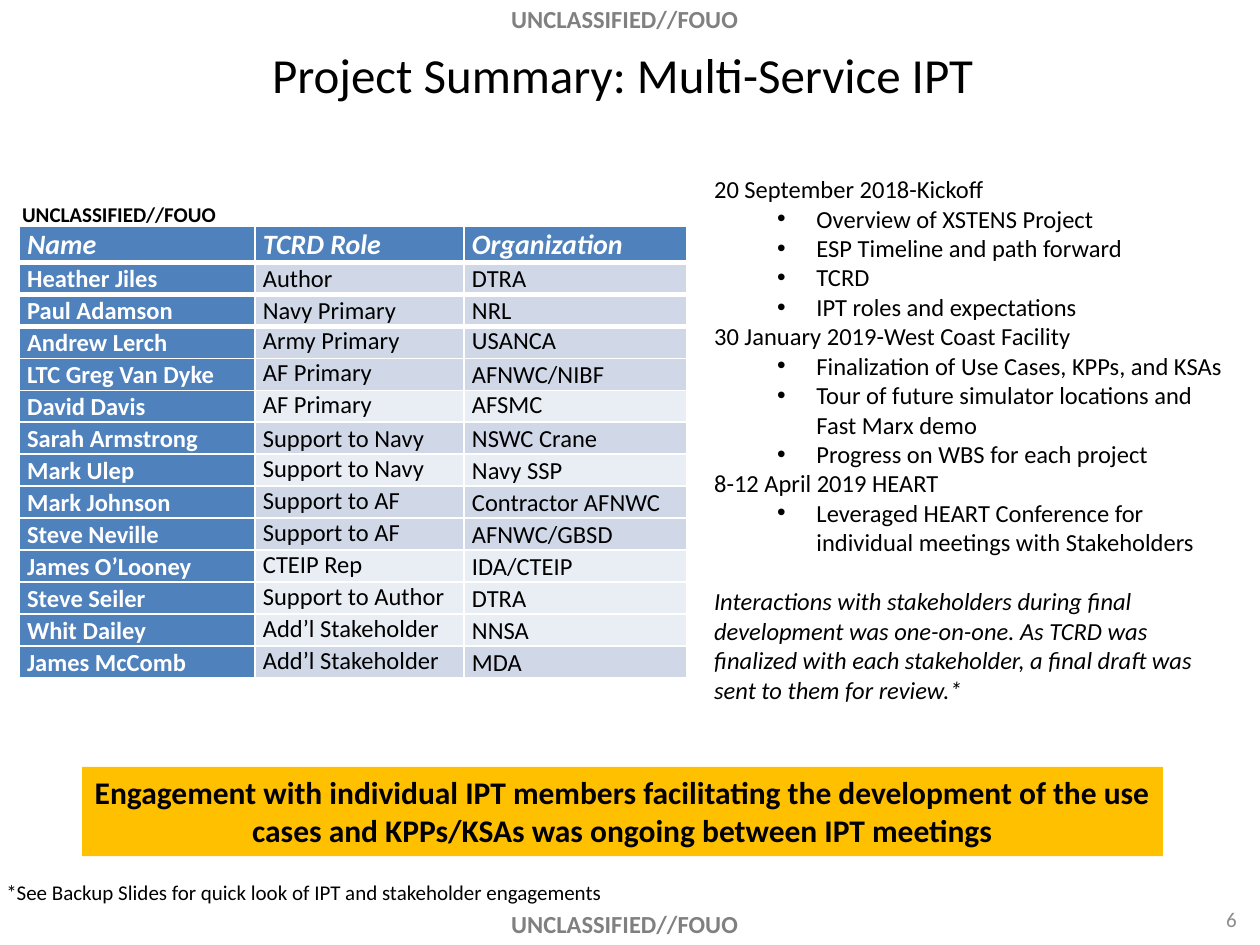
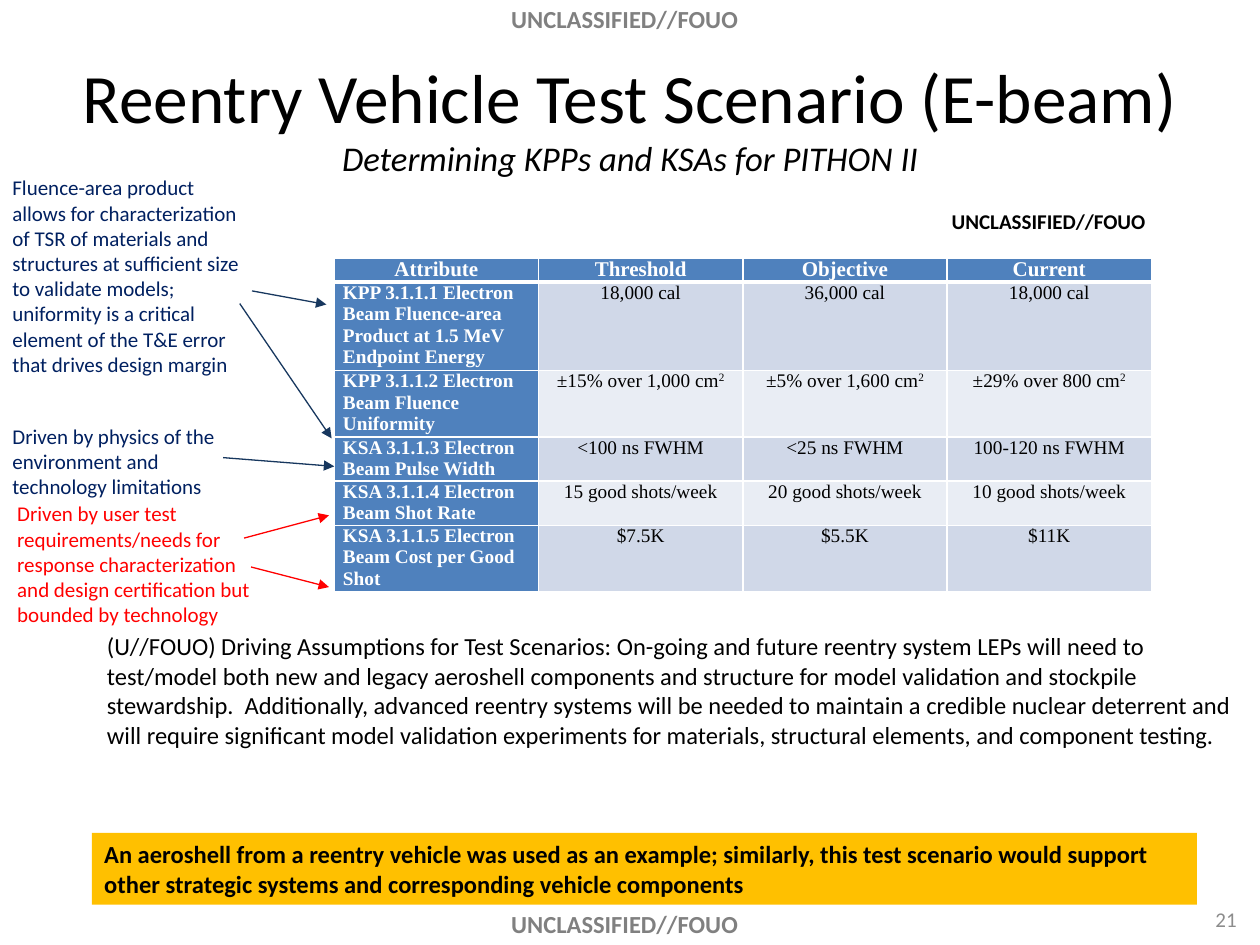
from lxml import etree
from pptx import Presentation
from pptx.dml.color import RGBColor
from pptx.enum.shapes import MSO_CONNECTOR, MSO_SHAPE
from pptx.enum.text import MSO_ANCHOR, MSO_AUTO_SIZE, PP_ALIGN
from pptx.oxml.ns import qn
from pptx.util import Pt

LEFT, CENTER, RIGHT = PP_ALIGN.LEFT, PP_ALIGN.CENTER, PP_ALIGN.RIGHT
TOP, MIDDLE = MSO_ANCHOR.TOP, MSO_ANCHOR.MIDDLE
RECTANGLE = MSO_SHAPE.RECTANGLE
STRAIGHT = MSO_CONNECTOR.STRAIGHT
NO_AUTOSIZE = MSO_AUTO_SIZE.NONE

WHITE, BLACK, GRAY, PALE_GRAY = "FFFFFF", "000000", "808080", "8C8C8C"
BLUE, ROW_DARK, ROW_LIGHT = "4F81BD", "D0D8E8", "E9EDF4"
GOLD, NAVY, ARROW_BLUE, RED = "FFC000", "002060", "17375E", "FF0000"

MARKING = "UNCLASSIFIED//FOUO"
TITLE_ONLY = 5

TEAM = [
    ("Name", "TCRD Role", "Organization"),
    ("Heather Jiles", "Author", "DTRA"),
    ("Paul Adamson", "Navy Primary", "NRL"),
    ("Andrew Lerch", "Army Primary", "USANCA"),
    ("LTC Greg Van Dyke", "AF Primary", "AFNWC/NIBF"),
    ("David Davis", "AF Primary", "AFSMC"),
    ("Sarah Armstrong", "Support to Navy", "NSWC Crane"),
    ("Mark Ulep", "Support to Navy", "Navy SSP"),
    ("Mark Johnson", "Support to AF", "Contractor AFNWC"),
    ("Steve Neville", "Support to AF", "AFNWC/GBSD"),
    ("James O’Looney", "CTEIP Rep", "IDA/CTEIP"),
    ("Steve Seiler", "Support to Author", "DTRA"),
    ("Whit Dailey", "Add’l Stakeholder", "NNSA"),
    ("James McComb", "Add’l Stakeholder", "MDA"),
]
MEETINGS = [
    ("20 September 2018-Kickoff", [
        "Overview of XSTENS Project",
        "ESP Timeline and path forward",
        "TCRD",
        "IPT roles and expectations"]),
    ("30 January 2019-West Coast Facility", [
        "Finalization of Use Cases, KPPs, and KSAs",
        "Tour of future simulator locations and Fast Marx demo",
        "Progress on WBS for each project"]),
    ("8-12 April 2019 HEART", [
        "Leveraged HEART Conference for individual meetings with Stakeholders"]),
]
# A caret marks the start of a superscript.
ATTRIBUTES = [
    ("Attribute", "Threshold", "Objective", "Current"),
    ("KPP 3.1.1.1 Electron Beam Fluence-area Product at 1.5 MeV Endpoint Energy",
     "18,000 cal", "36,000 cal", "18,000 cal"),
    ("KPP 3.1.1.2 Electron Beam Fluence Uniformity",
     "±15% over 1,000 cm^2", "±5% over 1,600 cm^2", "±29% over 800 cm^2"),
    ("KSA 3.1.1.3 Electron Beam Pulse Width",
     "<100 ns FWHM", "<25 ns FWHM", "100-120 ns FWHM"),
    ("KSA 3.1.1.4 Electron Beam Shot Rate",
     "15 good shots/week", "20 good shots/week", "10 good shots/week"),
    ("KSA 3.1.1.5 Electron Beam Cost per Good Shot", "$7.5K", "$5.5K", "$11K"),
]


def rgb(value):
    return RGBColor.from_string(value)


def points(*values):
    return [Pt(value) for value in values]


def set_attributes(target, values):
    for name, value in values.items():
        setattr(target, name, value)


def add_span(para, text, size=14, color=BLACK, bold=False, italic=False, name="Calibri"):
    span = para.add_run()
    span.text = text
    set_attributes(span.font, {"size": Pt(size), "bold": bold, "italic": italic, "name": name})
    span.font.color.rgb = rgb(color)
    return span


def write(box, text, align=LEFT, anchor=TOP, **style):
    frame = box.text_frame
    set_attributes(frame, {"word_wrap": True, "auto_size": NO_AUTOSIZE,
                           "vertical_anchor": anchor})
    para = frame.paragraphs[0]
    para.alignment = align
    add_span(para, text, **style)


def add_text(page, place, text, **style):
    write(page.shapes.add_textbox(*points(*place)), text, **style)


def add_band(page, place, fill, text, **style):
    band = page.shapes.add_shape(RECTANGLE, *points(*place))
    band.shadow.inherit = False
    band.fill.solid()
    band.fill.fore_color.rgb = rgb(fill)
    band.line.fill.background()
    write(band, text, **style)


def add_page(deck, number, title_place, title, title_size, subtitle=None):
    """Add a page with markings, page number and a title of one or two lines."""
    page = deck.slides.add_slide(deck.slide_layouts[TITLE_ONLY])
    heading = page.shapes.title
    set_attributes(heading, dict(zip(("left", "top", "width", "height"), points(*title_place))))
    write(heading, title, align=CENTER, anchor=MIDDLE, size=title_size)
    if subtitle:
        para = heading.text_frame.paragraphs[0]
        para.add_line_break()
        add_span(para, subtitle, size=19.8, italic=True)
    for top in (-1.5, 515.75):
        add_band(page, (228, top, 258, 24.5), WHITE, MARKING,
                 align=CENTER, color=GRAY, bold=True)
    add_text(page, (545.75, 510.5, 168, 29), number, align=RIGHT, anchor=MIDDLE,
             size=12, color=PALE_GRAY)
    return page


def add_cell_borders(cell, top, bottom):
    properties = cell._tc.get_or_add_tcPr()
    for side, width in (("L", 1), ("R", 1), ("T", top), ("B", bottom)):
        line = etree.SubElement(properties, qn(f"a:ln{side}"), w=str(Pt(width)))
        fill = etree.SubElement(line, qn("a:solidFill"))
        etree.SubElement(fill, qn("a:srgbClr"), val=WHITE)


def add_table(page, corner, widths, heights, rows, light_rows, thick_rows, margin,
              header, body, body_align=LEFT, spacing=None):
    """Add a table; thick_rows have a heavy lower rule, spacing(row, column) gives line spacing."""
    place = points(*corner, sum(widths), sum(heights))
    table = page.shapes.add_table(len(rows), len(widths), *place).table
    for column, width in zip(table.columns, widths):
        column.width = Pt(width)
    for r, (texts, height) in enumerate(zip(rows, heights)):
        table.rows[r].height = Pt(height)
        for c, text in enumerate(texts):
            cell = table.cell(r, c)
            set_attributes(cell, {"margin_left": Pt(margin), "margin_right": Pt(margin),
                                  "margin_top": 0, "margin_bottom": 0})
            add_cell_borders(cell, 3 if r - 1 in thick_rows else 1, 3 if r in thick_rows else 1)
            accented = r == 0 or c == 0
            cell.fill.solid()
            cell.fill.fore_color.rgb = rgb(
                BLUE if accented else ROW_LIGHT if r in light_rows else ROW_DARK)
            para = cell.text_frame.paragraphs[0]
            para.alignment = LEFT if r and not c else body_align
            if spacing:
                para.line_spacing = spacing(r, c)
            style = dict(header if r == 0 else body, bold=accented,
                         color=WHITE if accented else BLACK)
            base, _, superscript = text.partition("^")
            add_span(para, base, **style)
            if superscript:
                span = add_span(para, superscript, **style)
                span._r.get_or_add_rPr().set("baseline", "30000")


def team_spacing(row, column):
    single = (column == 1 and row >= 3 and row != 6) or (column == 2 and row in (3, 5))
    return 1.0 if single else 1.07


def add_meetings(page, place, meetings, remark):
    frame = page.shapes.add_textbox(*points(*place)).text_frame
    frame.word_wrap = True
    lines = []
    for meeting, topics in meetings:
        lines += [(meeting, False)] + [(topic, True) for topic in topics]
    for index, (text, bulleted) in enumerate(lines):
        para = frame.add_paragraph() if index else frame.paragraphs[0]
        if bulleted:
            para.level = 1
            properties = para._p.get_or_add_pPr()
            properties.set("marL", str(Pt(58.5)))
            properties.set("indent", str(Pt(-22.5)))
            etree.SubElement(properties, qn("a:buFont"), typeface="Arial")
            etree.SubElement(properties, qn("a:buChar"), char="•")
        add_span(para, text)
    para = frame.add_paragraph()
    para.space_before = Pt(17)
    add_span(para, remark, italic=True)


def add_arrow(page, start, end, color):
    arrow = page.shapes.add_connector(STRAIGHT, *points(*start, *end))
    arrow.line.width = Pt(0.75)
    arrow.line.color.rgb = rgb(color)
    etree.SubElement(arrow.line._get_or_add_ln(), qn("a:tailEnd"), type="triangle")
    etree.SubElement(arrow._element.spPr, qn("a:effectLst"))


def build_summary(deck):
    page = add_page(deck, "6", (31.75, -3, 648, 90), "Project Summary: Multi-Service IPT", 28)
    add_table(page, (11, 129), (134.75, 119.5, 127), [21] + [18.25] * (len(TEAM) - 1), TEAM,
              light_rows={5, 7, 10, 11, 12}, thick_rows={0, 1, 2}, margin=4.5,
              header={"size": 16, "italic": True}, body={"size": 14}, spacing=team_spacing)
    add_meetings(page, (401, 96, 312.5, 312.5), MEETINGS,
                 "Interactions with stakeholders during final development was one-on-one. "
                 "As TCRD was finalized with each stakeholder, a final draft was sent to them "
                 "for review.*")
    add_band(page, (47, 438.25, 617.5, 51), GOLD,
             "Engagement with individual IPT members facilitating the development of the use "
             "cases and KPPs/KSAs was ongoing between IPT meetings",
             align=CENTER, size=18, bold=True)
    add_text(page, (5.5, 111.5, 170.5, 22), MARKING, size=12, bold=True)
    add_text(page, (-3.5, 499, 359.5, 22),
             "*See Backup Slides for quick look of IPT and stakeholder engagements", size=12)


def build_scenario(deck):
    page = add_page(deck, "21", (36, 21.5, 648, 90), "Reentry Vehicle Test Scenario (E-beam)",
                    39.6, "Determining KPPs and KSAs for PITHON II")
    add_table(page, (191, 147.5), [116.75] * 4, (13.75, 50.5, 38, 25.25, 25.25, 38), ATTRIBUTES,
              light_rows={2, 4}, thick_rows={0}, margin=5, body_align=CENTER,
              header={"size": 12, "name": "Times New Roman"},
              body={"size": 11, "name": "Times New Roman"})
    for place, color, text in (
        ((0, 96.5, 149, 124), NAVY,
         "Fluence-area product allows for characterization of TSR of materials and structures "
         "at sufficient size to validate models; uniformity is a critical element of the T&E "
         "error that drives design margin"),
        ((0, 238.5, 139.5, 51), NAVY,
         "Driven by physics of the environment and technology limitations"),
        ((2.75, 282.75, 150.5, 80), RED,
         "Driven by user test requirements/needs for response characterization and design "
         "certification but bounded by technology"),
    ):
        add_text(page, place, text, size=12, color=color)
    for start, end, color in (
        ((144, 166.25), (186.5, 174), ARROW_BLUE),
        ((137, 173.5), (189.5, 250.5), ARROW_BLUE),
        ((127.5, 261.5), (191, 266.5), ARROW_BLUE),
        ((139.5, 307.5), (188, 294.5), RED),
        ((143.5, 324), (188, 335.5), RED),
    ):
        add_arrow(page, start, end, color)
    add_band(page, (52.5, 476, 631.5, 41), GOLD,
             "An aeroshell from a reentry vehicle was used as an example; similarly, this test "
             "scenario would support other strategic systems and corresponding vehicle "
             "components", bold=True)
    add_text(page, (54, 357.25, 659.5, 75),
             "(U//FOUO) Driving Assumptions for Test Scenarios: On-going and future reentry "
             "system LEPs will need to test/model both new and legacy aeroshell components and "
             "structure for model validation and stockpile stewardship.  Additionally, advanced "
             "reentry systems will be needed to maintain a credible nuclear deterrent and will "
             "require significant model validation experiments for materials, structural "
             "elements, and component testing.")
    add_text(page, (532, 115.5, 129.75, 22), MARKING, align=RIGHT, size=12, bold=True)


def main():
    deck = Presentation()
    set_attributes(deck, {"slide_width": Pt(720), "slide_height": Pt(540)})
    build_summary(deck)
    build_scenario(deck)
    deck.save("out.pptx")


if __name__ == "__main__":
    main()
